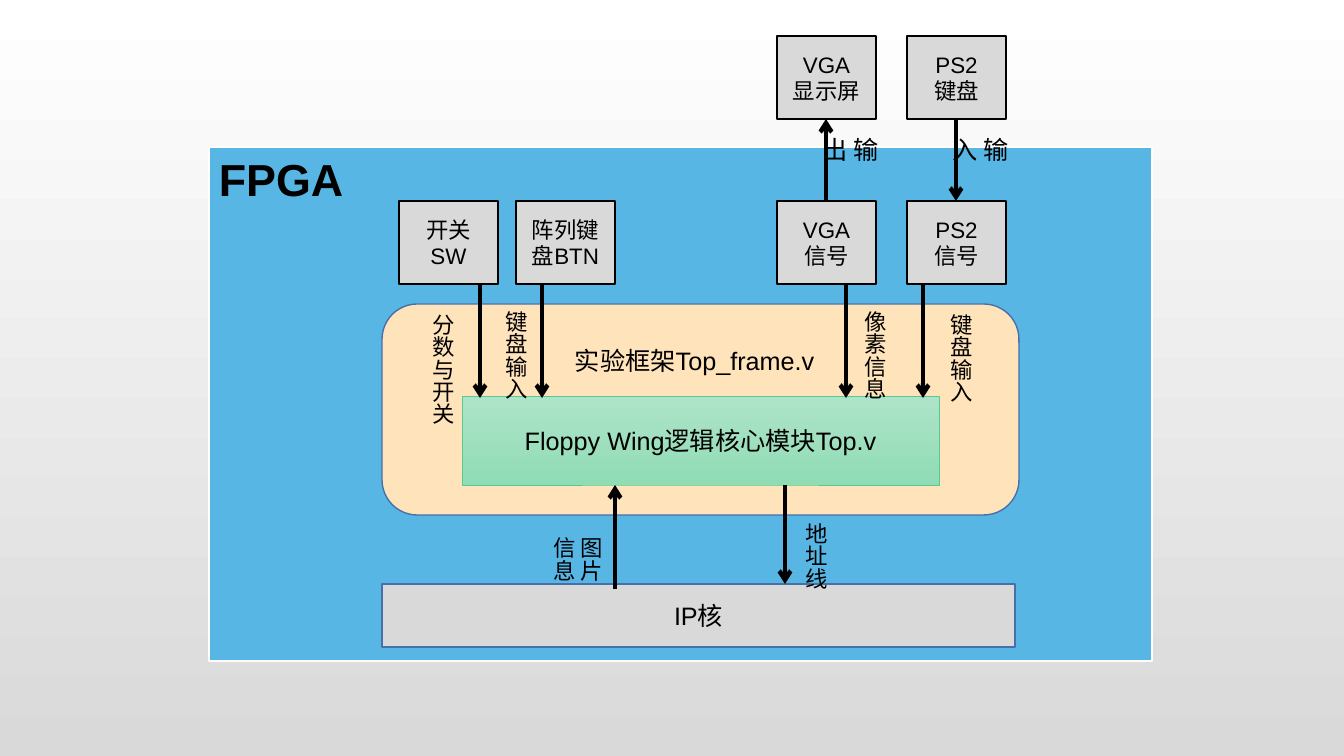
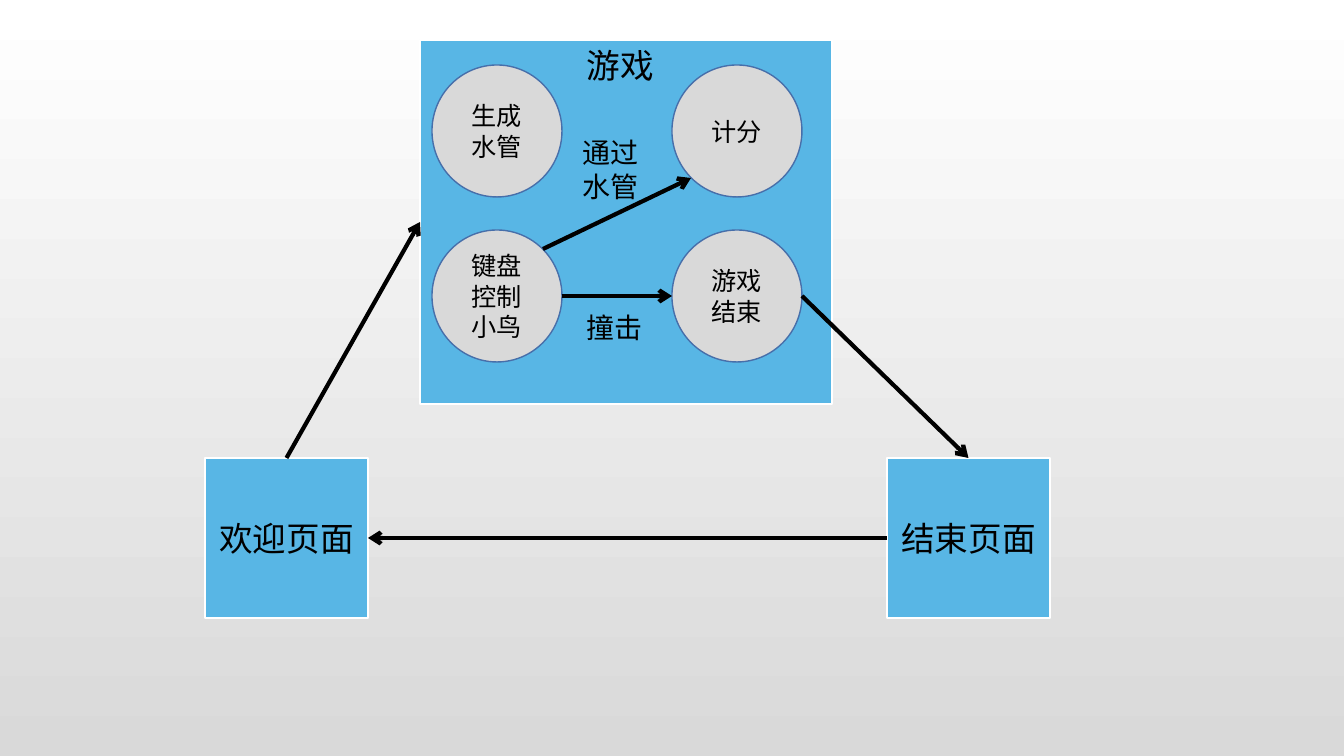
from lxml import etree
from pptx import Presentation
from pptx.dml.color import RGBColor
from pptx.enum.shapes import MSO_CONNECTOR, MSO_SHAPE
from pptx.enum.text import MSO_ANCHOR, MSO_AUTO_SIZE, PP_ALIGN
from pptx.oxml.ns import qn
from pptx.util import Pt

RECT, ROUND, OVAL = MSO_SHAPE.RECTANGLE, MSO_SHAPE.ROUNDED_RECTANGLE, MSO_SHAPE.OVAL
STRAIGHT = MSO_CONNECTOR.STRAIGHT
CENTER, LEFT = PP_ALIGN.CENTER, PP_ALIGN.LEFT
MIDDLE, TOP = MSO_ANCHOR.MIDDLE, MSO_ANCHOR.TOP
GROW = MSO_AUTO_SIZE.SHAPE_TO_FIT_TEXT

EMU_PER_PX = 914400 / 100.8
FONT = "Arial"
BLACK, WHITE, GREY = "000000", "FFFFFF", "D9D9D9"
BLUE, NAVY, CREAM = "58B6E5", "476FAA", "FFE3BB"
MINT, GREEN, GREEN_EDGE = "AEE3C8", "90DCB5", "56CA95"
BLOCK_W, BLOCK_H = 99, 83


def px(n):
    """Turn pixels into EMU."""
    return round(n * EMU_PER_PX)


def rgb(hex_text):
    """Turn a hex string into a colour."""
    return RGBColor.from_string(hex_text)


def shade(fill, top, bottom):
    """Fill with a gradient that runs from top to bottom."""
    fill.gradient()
    fill.gradient_angle = 270
    for stop, color in zip(fill.gradient_stops, (top, bottom)):
        stop.color.rgb = rgb(color)


def write(tf, text, size, align, anchor, bold=False):
    """Write one paragraph for each line of text."""
    tf.word_wrap = True
    tf.vertical_anchor = anchor
    tf.text = text
    for p in tf.paragraphs:
        p.alignment = align
        p.font.name, p.font.size, p.font.bold = FONT, Pt(size), bold
        p.font.color.rgb = rgb(BLACK)


def shape(s, kind, box, fill, line, width=1, text="", size=18):
    """Add a filled, outlined shape with centred text."""
    sp = s.shapes.add_shape(kind, *map(px, box))
    sp.shadow.inherit = False
    if isinstance(fill, tuple):
        shade(sp.fill, *fill)
    else:
        sp.fill.solid()
        sp.fill.fore_color.rgb = rgb(fill)
    sp.line.color.rgb = rgb(line)
    sp.line.width = Pt(width)
    if text:
        write(sp.text_frame, text, size, CENTER, MIDDLE)


def label(s, box, text, size, bold=False, vertical=False):
    """Add a text box, with East Asian vertical text if asked."""
    tf = s.shapes.add_textbox(*map(px, box)).text_frame
    write(tf, text, size, LEFT, TOP, bold)
    tf.auto_size = GROW
    if vertical:
        tf._txBody.find(qn("a:bodyPr")).set("vert", "eaVert")


def arrow(s, x1, y1, x2, y2):
    """Add a thick black line with an open head at its end."""
    c = s.shapes.add_connector(STRAIGHT, *map(px, (x1, y1, x2, y2)))
    c.line.color.rgb = rgb(BLACK)
    c.line.width = Pt(3)
    etree.SubElement(c.line._get_or_add_ln(), qn("a:tailEnd"), type="arrow")
    etree.SubElement(c._element.spPr, qn("a:effectLst"))


def panel(s, box, text=""):
    """Add a blue panel with a white edge."""
    shape(s, RECT, box, BLUE, WHITE, 1.5, text, 24)


def block(s, x, y, text):
    """Add a small grey hardware block."""
    shape(s, RECT, (x, y, BLOCK_W, BLOCK_H), GREY, BLACK, 1, text, 16)


def port(s, x, y, name, device, output):
    """Add a device, the signal block below it and the arrow between them."""
    signal_y = y + 165
    block(s, x, signal_y, name + "\n信号")
    block(s, x, y, name + "\n" + device)
    ends = (signal_y, y + BLOCK_H) if output else (y + BLOCK_H, signal_y)
    arrow(s, x + 49, ends[0], x + 49, ends[1])
    label(s, (x + 58, y + 91, 50, 66), "输出" if output else "输入", 18, vertical=True)


def framework(s, x, y, w, h):
    """Add the top frame, its core module and the signals that enter it."""
    shape(s, ROUND, (x, y, w, h), CREAM, NAVY)
    shape(s, RECT, (x + 80, y + 92, w - 160, 89), (MINT, GREEN), GREEN_EDGE, 0.5,
          "Floppy Wing逻辑核心模块Top.v")
    label(s, (x + 183, y + 36, 268, 40), "实验框架Top_frame.v", 18)
    for line_x, text_x, text_y, text_h, text in (
            (98, 32, 0, 142, "分数与开关"), (160, 105, -3, 119, "键盘输入"),
            (464, 464, -3, 119, "像素信息"), (541, 550, 0, 119, "键盘输入")):
        arrow(s, x + line_x, y - 21, x + line_x, y + 94)
        label(s, (x + text_x, y + text_y, 47, text_h), text, 16, vertical=True)


def ip_core(s, x, y, w, h):
    """Add the IP core and its two links to the module above."""
    shape(s, RECT, (x, y, w, h), GREY, NAVY, text="IP核")
    arrow(s, x + 233, y + 5, x + 233, y - 99)
    arrow(s, x + 403, y - 99, x + 403, y)
    label(s, (x + 405, y - 71, 47, 142), "地址线", 16, vertical=True)
    label(s, (x + 152, y - 57, 75, 71), "图片信息", 16, vertical=True)


def game(s, x, y, w, h):
    """Add the game panel with its four states and the moves between them."""
    panel(s, (x, y, w, h))
    states = ("生成\n水管", "计分", "键盘控制小鸟", "游戏结束")
    for i, text in enumerate(states):
        row, col = divmod(i, 2)
        shape(s, OVAL, (x + 12 + 240 * col, y + 25 + 165 * row, 130, 132),
              GREY, NAVY, text=text)
    arrow(s, x + 123, y + 209, x + 271, y + 138)
    arrow(s, x + 142, y + 256, x + 252, y + 256)
    label(s, (x + 157, y, 95, 50), "游戏", 24)
    label(s, (x + 157, y + 266, 80, 44), "撞击", 20)
    label(s, (x + 153, y + 91, 80, 78), "通过水管", 20)


def new_slide(prs):
    """Add a blank slide with the shared grey background."""
    s = prs.slides.add_slide(prs.slide_layouts[6])
    shade(s.background.fill, WHITE, GREY)
    return s


def hardware_slide(prs):
    """Build the hardware block diagram."""
    s = new_slide(prs)
    x, y = 209, 147
    panel(s, (x, y, 943, 514))
    label(s, (x, y, 278, 64), "FPGA", 32, bold=True)
    framework(s, x + 173, y + 157, 637, 211)
    ip_core(s, x + 173, y + 437, 633, 63)
    block(s, x + 190, y + 54, "开关SW")
    block(s, x + 307, y + 54, "阵列键盘BTN")
    port(s, x + 568, y - 111, "VGA", "显示屏", True)
    port(s, x + 698, y - 111, "PS2", "键盘", False)


def flow_slide(prs):
    """Build the flow between the pages of the game."""
    s = new_slide(prs)
    x, y, w, h = 420, 40, 412, 364
    page_y, page_w, page_h = 458, 163, 160
    welcome_x, end_x = 205, 887
    game(s, x, y, w, h)
    panel(s, (welcome_x, page_y, page_w, page_h), "欢迎页面")
    panel(s, (end_x, page_y, page_w, page_h), "结束页面")
    arrow(s, welcome_x + page_w / 2, page_y, x, y + h / 2)
    arrow(s, end_x, page_y + page_h / 2, welcome_x + page_w, page_y + page_h / 2)
    arrow(s, x + 382, y + 256, end_x + page_w / 2, page_y)


prs = Presentation()
prs.slide_width, prs.slide_height = px(1344), px(756)
hardware_slide(prs)
flow_slide(prs)
prs.save("out.pptx")
